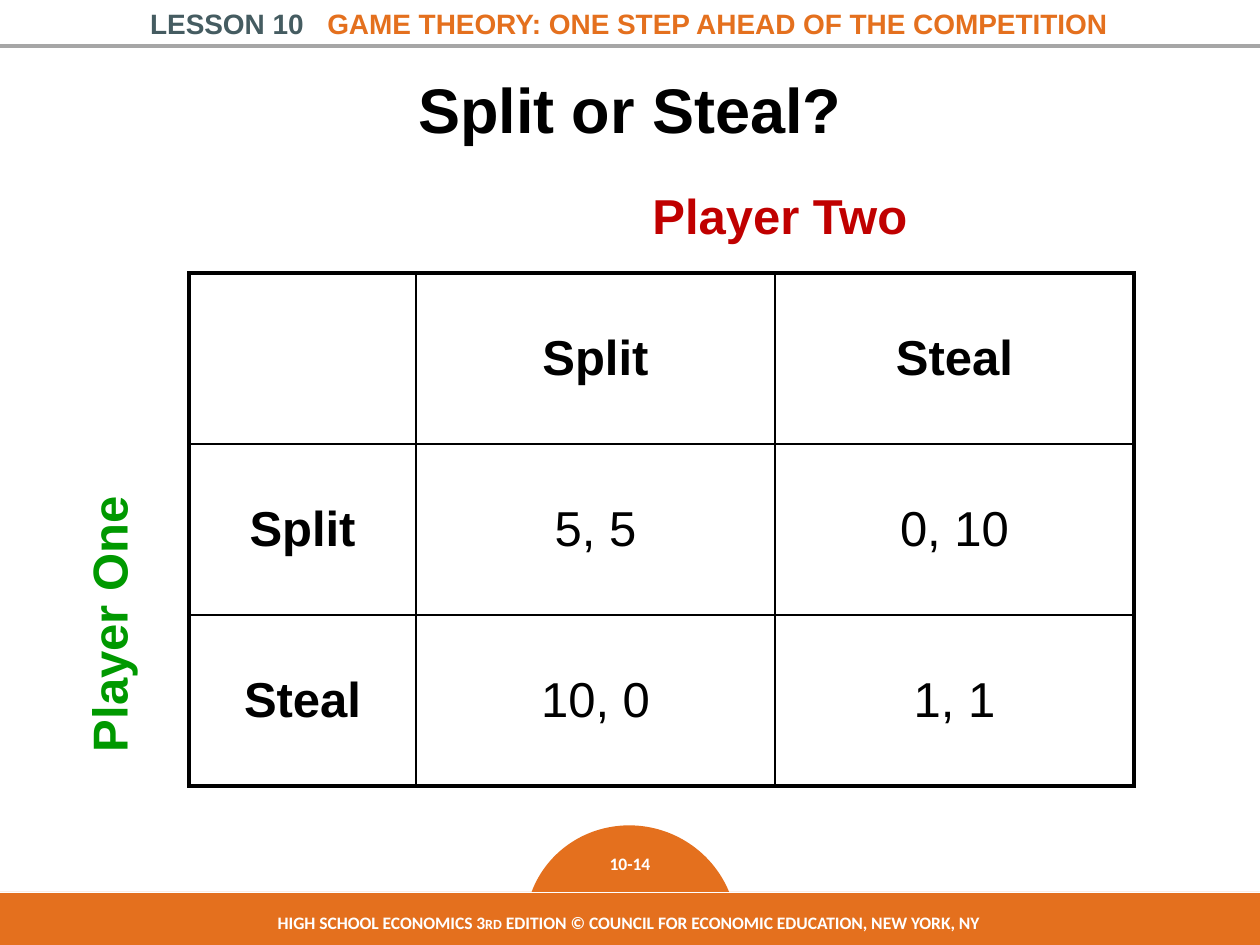
from lxml import etree
from pptx import Presentation
from pptx import util as u
from pptx.dml.color import RGBColor
from pptx.enum import shapes, text
from pptx.oxml.ns import qn

PX = 914400 / 126

ORANGE = RGBColor(0xE4, 0x70, 0x1E)
SLATE = RGBColor(0x45, 0x5C, 0x61)
GRAY = RGBColor(0xA6, 0xA6, 0xA6)
RED = RGBColor(0xC0, 0x00, 0x00)
GREEN = RGBColor(0x00, 0x99, 0x00)
BLACK = RGBColor(0x00, 0x00, 0x00)
WHITE = RGBColor(0xFF, 0xFF, 0xFF)

# Content
TITLE = "Split or Steal?"
LESSON = "LESSON 10"
LESSON_NAME = "GAME THEORY: ONE STEP AHEAD OF THE COMPETITION"
PAGE_NUMBER = "10-14"
FOOTER = [
    ("HIGH SCHOOL ECONOMICS 3", 10),
    ("RD", 8),
    (" EDITION © COUNCIL FOR ECONOMIC EDUCATION, NEW YORK, NY", 10),
]
PAYOFFS = [
    ["", "Split", "Steal"],
    ["Split", "5, 5", "0, 10"],
    ["Steal", "10, 0", "1, 1"],
]
COLUMN_WIDTHS = [227, 359, 359]
ROW_HEIGHT = 171
OUTER_BORDER, INNER_BORDER = 2.25, 1


def px(*lengths):
    return [u.Emu(round(length * PX)) for length in lengths]


def style(paragraph, size, color, name="Arial", bold=True,
          align=text.PP_ALIGN.CENTER):
    paragraph.alignment = align
    font = paragraph.font
    font.name, font.size, font.bold = name, u.Pt(size), bold
    font.color.rgb = color


def add_text(slide, box, runs, size, color, wrap=True, **options):
    shape = slide.shapes.add_textbox(*px(*box))
    frame = shape.text_frame
    frame.word_wrap = wrap
    frame.auto_size = text.MSO_AUTO_SIZE.SHAPE_TO_FIT_TEXT
    paragraph = frame.paragraphs[0]
    for words in runs:
        paragraph.add_run().text = words
    style(paragraph, size, color, **options)
    return shape


def add_filled(slide, kind, box, line_color, line_width):
    shape = slide.shapes.add_shape(kind, *px(*box))
    shape.shadow.inherit = False
    shape.fill.solid()
    shape.fill.fore_color.rgb = ORANGE
    shape.line.color.rgb = line_color
    shape.line.width = u.Pt(line_width)
    return shape


def set_borders(cell, widths):
    properties = cell._tc.get_or_add_tcPr()
    for index, (side, width) in enumerate(widths.items()):
        line = etree.Element(qn(f"a:ln{side}"), w=str(u.Pt(width)))
        fill = etree.SubElement(line, qn("a:solidFill"))
        etree.SubElement(fill, qn("a:srgbClr"), val=str(BLACK))
        properties.insert(index, line)


def add_header(slide):
    rule = slide.shapes.add_connector(
        shapes.MSO_CONNECTOR.STRAIGHT, *px(0, 46, 1260, 46))
    rule.line.color.rgb = GRAY
    rule.line.width = u.Pt(2)
    etree.SubElement(rule._element.spPr, qn("a:effectLst"))

    heading = add_text(slide, (120, 0, 1018, 47),
                       [LESSON, " ", LESSON_NAME], 16, ORANGE)
    lesson, gap, _ = heading.text_frame.paragraphs[0].runs
    lesson.font.color.rgb = SLATE
    gap._r.get_or_add_rPr().set("spc", "900")  # widens the single space


def add_footer(slide):
    dome = add_filled(slide, shapes.MSO_SHAPE.CHORD, (529, 825, 204, 209),
                      ORANGE, 2)
    dome.adjustments[0], dome.adjustments[1] = 39.96, 148.42
    dome.rotation = 112.5
    add_text(slide, (567, 847, 126, 34), [PAGE_NUMBER], 10, WHITE,
             name="Calibri")

    add_filled(slide, shapes.MSO_SHAPE.RECTANGLE, (-5, 892, 1268, 53),
               WHITE, 0.25)
    credit = add_text(slide, (161, 906, 935, 34),
                      [words for words, _ in FOOTER], 10, WHITE,
                      name="Calibri")
    for run, (_, size) in zip(credit.text_frame.paragraphs[0].runs, FOOTER):
        run.font.size = u.Pt(size)


def add_payoffs(slide):
    last = len(PAYOFFS) - 1
    box = (189, 273, sum(COLUMN_WIDTHS), ROW_HEIGHT * len(PAYOFFS))
    table = slide.shapes.add_table(
        len(PAYOFFS), len(COLUMN_WIDTHS), *px(*box)).table
    table.first_row = table.horz_banding = False
    for column, width in zip(table.columns, px(*COLUMN_WIDTHS)):
        column.width = width
    for r, values in enumerate(PAYOFFS):
        table.rows[r].height = px(ROW_HEIGHT)[0]
        for c, value in enumerate(values):
            cell = table.cell(r, c)
            cell.fill.background()
            cell.vertical_anchor = text.MSO_ANCHOR.MIDDLE
            cell.text = value
            style(cell.text_frame.paragraphs[0], 28, BLACK,
                  bold=r == 0 or c == 0)
            outer = {"L": c == 0, "R": c == last, "T": r == 0, "B": r == last}
            set_borders(cell, {side: OUTER_BORDER if edge else INNER_BORDER
                               for side, edge in outer.items()})


def main():
    presentation = Presentation()
    presentation.slide_width, presentation.slide_height = px(1260, 945)
    slide = presentation.slides.add_slide(presentation.slide_layouts[5])

    # Lesson band, page number and footer
    add_header(slide)
    add_footer(slide)

    # Title
    title = slide.shapes.title
    title.left, title.top, title.width, title.height = px(184, 48, 892, 120)
    title.text_frame.text = TITLE
    title.text_frame.vertical_anchor = text.MSO_ANCHOR.MIDDLE
    style(title.text_frame.paragraphs[0], 36, BLACK)

    # Payoff matrix and player names
    add_payoffs(slide)
    left = text.PP_ALIGN.LEFT
    add_text(slide, (640, 179, 285, 72), ["Player Two"], 28, RED,
             wrap=False, align=left)
    player_one = add_text(slide, (-32, 588, 281, 72), ["Player One"], 28,
                          GREEN, wrap=False, align=left)
    player_one.rotation = 270

    presentation.save("out.pptx")


if __name__ == "__main__":
    main()
